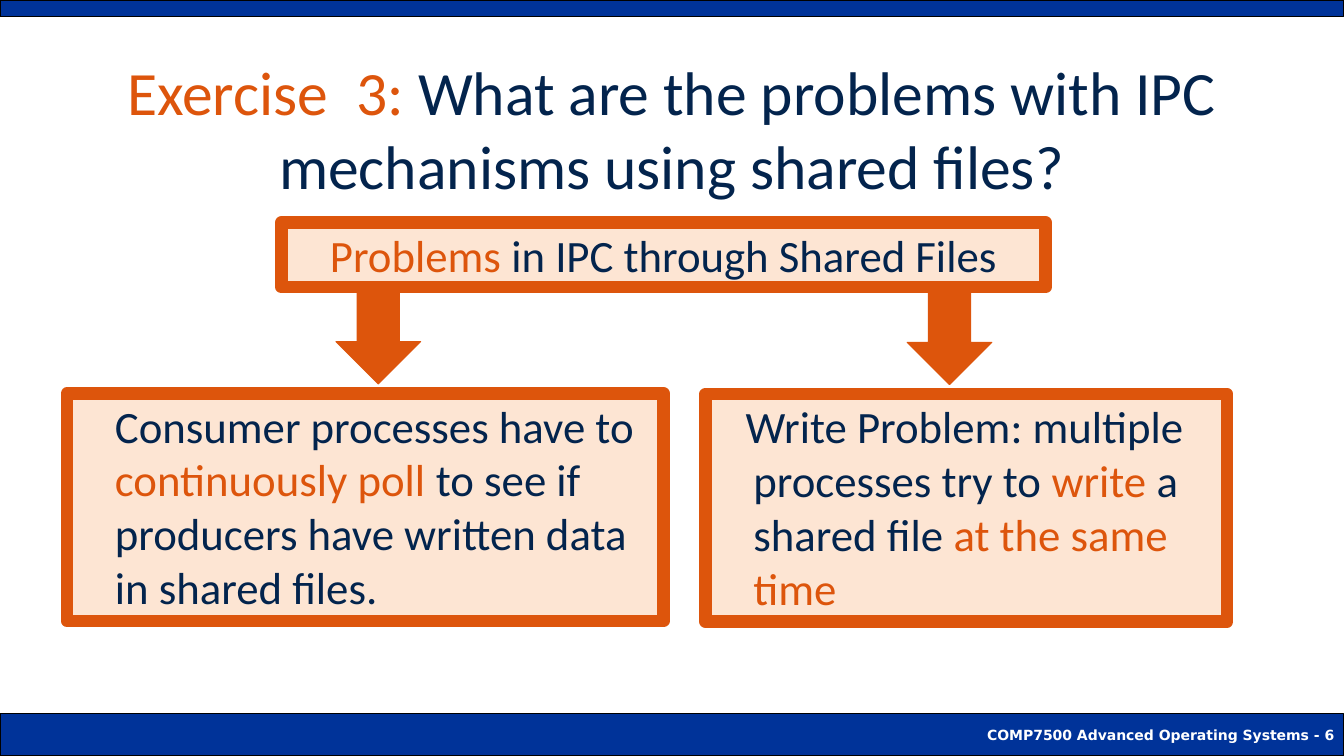
from dataclasses import dataclass

from lxml.etree import SubElement
from pptx import Presentation
from pptx.dml.color import RGBColor
from pptx.enum.shapes import MSO_SHAPE
from pptx.enum.text import MSO_ANCHOR, MSO_AUTO_SIZE, PP_ALIGN
from pptx.oxml.ns import qn
from pptx.util import Pt


@dataclass(frozen=True)
class Theme:
    navy: str = "03244D"
    orange: str = "DD550C"
    tint: str = "F68026"
    tint_opacity: int = 20
    bar: str = "003399"
    black: str = "000000"
    white: str = "FFFFFF"
    font: str = "Calibri"
    footer_font: str = "DejaVu Sans"
    title_size: float = 44
    body_size: float = 32
    footer_size: float = 10
    thin: float = 0.75
    thick: float = 9


THEME = Theme()
WIDTH, HEIGHT = 960, 540


def write_text(shape, runs, *, size, font=THEME.font, bold=False,
               align=PP_ALIGN.LEFT, anchor=MSO_ANCHOR.TOP, margin=0, indent=0):
    """Fill a shape with one paragraph made of (text, colour) runs."""
    frame = shape.text_frame
    frame.word_wrap = True
    frame.auto_size = MSO_AUTO_SIZE.NONE
    frame.vertical_anchor = anchor
    paragraph = frame.paragraphs[0]
    paragraph.alignment = align
    if margin:
        properties = paragraph._p.get_or_add_pPr()
        properties.set("marL", str(Pt(margin)))
        properties.set("indent", str(Pt(indent)))
    for text, color in runs:
        run = paragraph.add_run()
        run.text = text
        run.font.name = font
        run.font.size = Pt(size)
        run.font.bold = bold
        run.font.color.rgb = RGBColor.from_string(color)


def add_block(slide, box, *, fill, line, line_width=THEME.thin,
              kind=MSO_SHAPE.RECTANGLE, opacity=100):
    shape = slide.shapes.add_shape(kind, *map(Pt, box))
    shape.shadow.inherit = False
    shape.fill.solid()
    shape.fill.fore_color.rgb = RGBColor.from_string(fill)
    if opacity < 100:
        color = shape.fill._xPr.find(qn("a:solidFill"))[0]
        SubElement(color, qn("a:alpha"), val=str(opacity * 1000))
    shape.line.color.rgb = RGBColor.from_string(line)
    shape.line.width = Pt(line_width)
    return shape


def add_panel(slide, box, runs, **text_format):
    panel = add_block(slide, box, fill=THEME.tint, opacity=THEME.tint_opacity,
                      line=THEME.orange, line_width=THEME.thick)
    write_text(panel, runs, size=THEME.body_size, **text_format)


def add_title(slide, box, runs):
    title = slide.shapes.title
    title.left, title.top, title.width, title.height = map(Pt, box)
    write_text(title, runs, size=THEME.title_size, align=PP_ALIGN.CENTER,
               anchor=MSO_ANCHOR.MIDDLE)


def add_bars(slide, box, footer_text):
    left, top, width, height = box
    footer_height = 30.25
    add_block(slide, (left, top, width, 12), fill=THEME.bar, line=THEME.black)
    footer = add_block(
        slide, (left, top + height - footer_height, width, footer_height),
        fill=THEME.bar, line=THEME.black)
    write_text(footer, [(footer_text, THEME.white)], size=THEME.footer_size,
               font=THEME.footer_font, bold=True, align=PP_ALIGN.RIGHT,
               anchor=MSO_ANCHOR.MIDDLE)


def add_problem(slide, box, runs, *, arrow_offset, indent=0):
    """Panel with a down arrow leading into it from above."""
    left, top, width, height = box
    add_panel(slide, box, runs, margin=27, indent=indent)
    add_block(slide, (left + arrow_offset, top - 74.25, 60.5, 67.5),
              fill=THEME.orange, line=THEME.orange, kind=MSO_SHAPE.DOWN_ARROW)


def build_exercise_slide(presentation):
    slide = presentation.slides.add_slide(presentation.slide_layouts[5])

    # Bars and title
    add_bars(slide, (0, 0, WIDTH, HEIGHT),
             "COMP7500 Advanced Operating Systems - 6")
    add_title(slide, (24, 30, 912, 123), [
        ("Exercise  3: ", THEME.orange),
        ("What are the problems with IPC mechanisms using shared files?",
         THEME.navy),
    ])

    # Heading panel
    add_panel(slide, (201, 159, 546, 46), [
        ("Problems", THEME.orange),
        (" in IPC through Shared Files", THEME.navy),
    ], align=PP_ALIGN.CENTER)

    # The two problems
    add_problem(slide, (48, 281, 426, 162.5), [
        ("Consumer processes have to ", THEME.navy),
        ("continuously poll", THEME.orange),
        (" to see if producers have written data in shared files.",
         THEME.navy),
    ], arrow_offset=192)
    add_problem(slide, (504, 281.5, 372.5, 162.5), [
        ("Write Problem: multiple processes try to ", THEME.navy),
        ("write", THEME.orange),
        (" a shared file ", THEME.navy),
        ("at the same time", THEME.orange),
    ], arrow_offset=144, indent=-5.5)


def main():
    presentation = Presentation()
    presentation.slide_width = Pt(WIDTH)
    presentation.slide_height = Pt(HEIGHT)
    build_exercise_slide(presentation)
    presentation.save("out.pptx")


if __name__ == "__main__":
    main()
